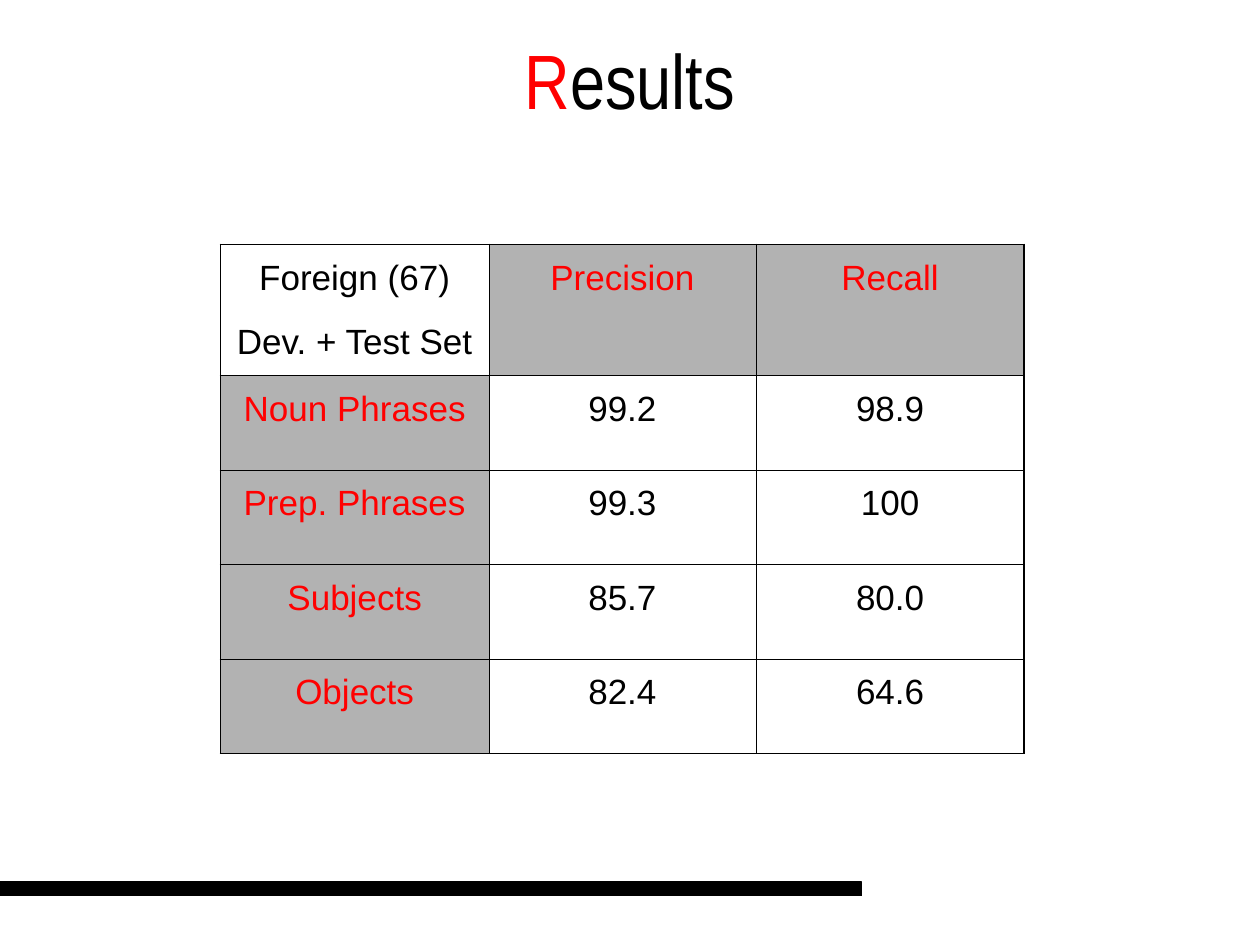
from dataclasses import dataclass

from lxml.etree import SubElement
from pptx import Presentation
from pptx.dml.color import RGBColor
from pptx.enum.shapes import MSO_SHAPE
from pptx.enum.text import MSO_ANCHOR, PP_ALIGN
from pptx.oxml.ns import qn
from pptx.util import Inches, Pt


@dataclass(frozen=True)
class Theme:
    black: RGBColor = RGBColor(0x00, 0x00, 0x00)
    red: RGBColor = RGBColor(0xFF, 0x00, 0x00)
    gray: RGBColor = RGBColor(0xB2, 0xB2, 0xB2)
    title_font: str = "Arial Narrow"
    body_font: str = "Arial"
    title_size: Pt = Pt(44)
    body_size: Pt = Pt(20)
    outer_line: Pt = Pt(1.08)
    inner_line: Pt = Pt(0.45)


THEME = Theme()


def add_run(paragraph, text, font_name, size, color):
    run = paragraph.add_run()
    run.text = text
    run.font.name = font_name
    run.font.size = size
    run.font.color.rgb = color


def add_border(cell, side, width):
    """Draw one cell side: L, R, T or B, called in that order and before the fill."""
    line = SubElement(cell._tc.get_or_add_tcPr(), qn(f"a:ln{side}"), w=str(int(width)))
    fill = SubElement(line, qn("a:solidFill"))
    SubElement(fill, qn("a:srgbClr"), val=str(THEME.black))


presentation = Presentation()
presentation.slide_width = Inches(10)
presentation.slide_height = Inches(7.5)
slide = presentation.slides.add_slide(presentation.slide_layouts[6])

# Title
title = slide.shapes.add_textbox(Inches(0.75), Inches(0), Inches(8.5), Inches(1.25))
title_frame = title.text_frame
title_frame.word_wrap = True
title_frame.vertical_anchor = MSO_ANCHOR.MIDDLE
paragraph = title_frame.paragraphs[0]
paragraph.alignment = PP_ALIGN.CENTER
for text, color in (("R", THEME.red), ("esults", THEME.black)):
    add_run(paragraph, text, THEME.title_font, THEME.title_size, color)

# Results table
results = [
    ["Foreign (67)\nDev. + Test Set", "Precision", "Recall"],
    ["Noun Phrases", "99.2", "98.9"],
    ["Prep. Phrases", "99.3", "100"],
    ["Subjects", "85.7", "80.0"],
    ["Objects", "82.4", "64.6"],
]
column_widths = [2.13, 2.12, 2.13]
row_heights = [1.04] + [0.75] * 4
last_row, last_column = len(row_heights) - 1, len(column_widths) - 1

table = slide.shapes.add_table(
    len(row_heights), len(column_widths), Inches(1.75), Inches(1.94),
    Inches(sum(column_widths)), Inches(sum(row_heights)),
).table
table.first_row = False
table.horz_banding = False
for column, width in zip(table.columns, column_widths):
    column.width = Inches(width)
for row, height in zip(table.rows, row_heights):
    row.height = Inches(height)

for row_index, row_values in enumerate(results):
    for column_index, value in enumerate(row_values):
        cell = table.cell(row_index, column_index)
        is_heading = (row_index == 0) != (column_index == 0)
        outer_sides = {
            "L": column_index == 0,
            "R": column_index == last_column,
            "T": row_index == 0,
            "B": row_index == last_row,
        }
        for side, is_outer in outer_sides.items():
            add_border(cell, side, THEME.outer_line if is_outer else THEME.inner_line)
        if is_heading:
            cell.fill.solid()
            cell.fill.fore_color.rgb = THEME.gray
        else:
            cell.fill.background()

        for line_index, text in enumerate(value.split("\n")):
            frame = cell.text_frame
            paragraph = frame.add_paragraph() if line_index else frame.paragraphs[0]
            paragraph.alignment = PP_ALIGN.CENTER
            paragraph.line_spacing = 1.2
            paragraph.space_after = Pt(10)
            add_run(paragraph, text, THEME.body_font, THEME.body_size,
                    THEME.red if is_heading else THEME.black)

# Footer bar
bar = slide.shapes.add_shape(
    MSO_SHAPE.RECTANGLE, Inches(0), Inches(7), Inches(6.84), Inches(0.11)
)
bar.shadow.inherit = False
bar.fill.solid()
bar.fill.fore_color.rgb = THEME.black
bar.line.color.rgb = THEME.black
bar.line.width = Pt(0.75)

presentation.save("out.pptx")
